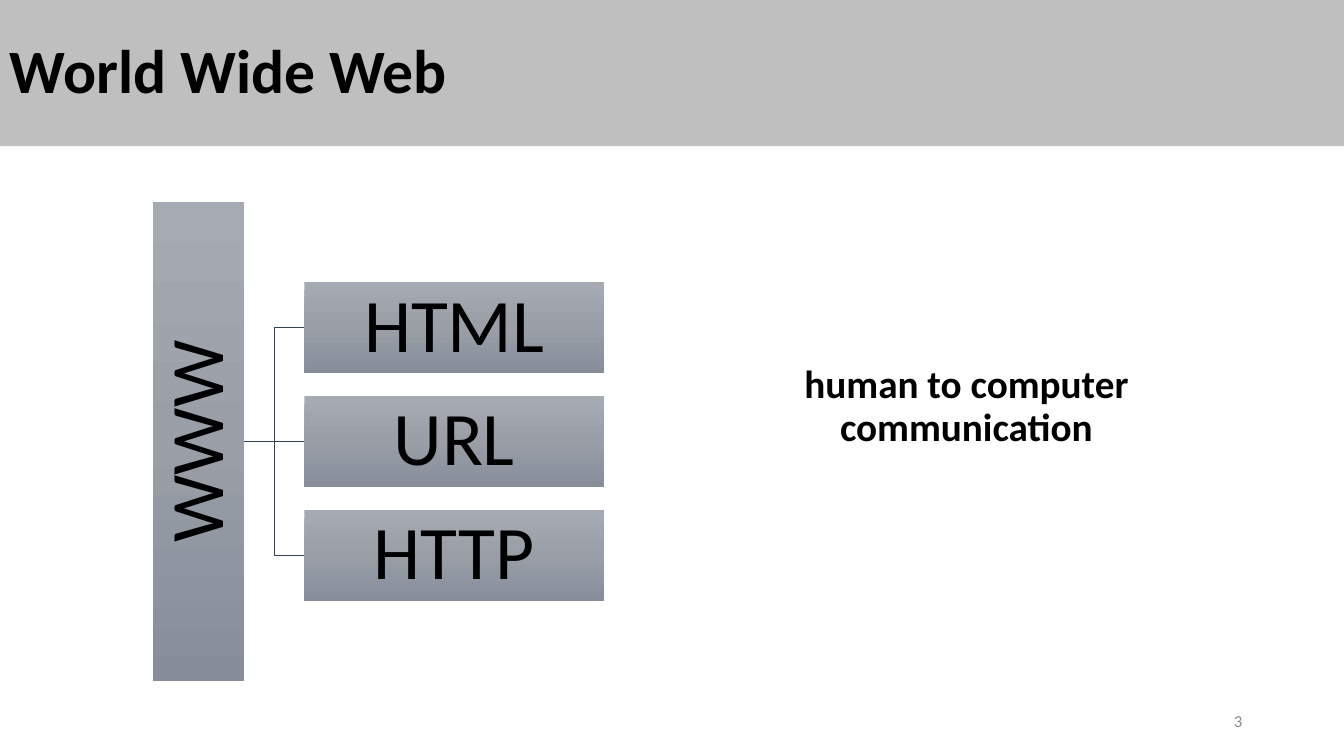
from copy import deepcopy
from dataclasses import dataclass

from lxml import etree
from pptx import Presentation
from pptx import util as u
from pptx.dml.color import RGBColor
from pptx.enum import shapes, text
from pptx.oxml import ns


@dataclass(frozen=True)
class Theme:
    font: str = "Calibri"
    ink: str = "000000"
    banner: str = "BFBFBF"
    muted: str = "8C8C8C"
    line: str = "364355"
    gradient: tuple = ((0, "A5AAB3"), (0.5, "999EA7"), (1, "878E9A"))
    title_size: int = 44
    node_size: int = 54
    body_size: int = 28
    number_size: int = 12


class SlideBuilder:
    def __init__(self, page, theme):
        self.page = page
        self.theme = theme

    def label(self, shape, words, size, color, align, bold=False, spacing=0.9):
        frame = shape.text_frame
        frame.text = words
        frame.word_wrap = True
        frame.vertical_anchor = text.MSO_ANCHOR.MIDDLE
        para = frame.paragraphs[0]
        para.alignment = align
        para.line_spacing = spacing
        span = para.runs[0]
        span.font.name = self.theme.font
        span.font.size = u.Pt(size)
        span.font.bold = bold
        span.font.color.rgb = RGBColor.from_string(color)

    def rectangle(self, left, top, width, height):
        shape = self.page.shapes.add_shape(
            shapes.MSO_SHAPE.RECTANGLE, *map(u.Inches, (left, top, width, height)))
        shape.shadow.inherit = False
        shape.line.fill.background()
        return shape

    def banner(self, words, height):
        shape = self.rectangle(0, 0, 13.33, height)
        shape.fill.solid()
        shape.fill.fore_color.rgb = RGBColor.from_string(self.theme.banner)
        self.label(shape, words, self.theme.title_size, self.theme.ink,
                   text.PP_ALIGN.LEFT, bold=True)

    def node(self, words, left, top, width, height, rotation=0):
        shape = self.rectangle(left, top, width, height)
        shape.rotation = rotation
        shape.fill.gradient()
        shape.fill.gradient_angle = 270
        gradient = shape.element.spPr.find(ns.qn("a:gradFill"))
        gradient.set("rotWithShape", "0")
        stop_list = gradient.find(ns.qn("a:gsLst"))
        stop_list.append(deepcopy(stop_list[-1]))
        for stop, (position, color) in zip(shape.fill.gradient_stops, self.theme.gradient):
            stop.position = position
            stop.color.rgb = RGBColor.from_string(color)
        frame = shape.text_frame
        frame.margin_left = frame.margin_right = u.Inches(0.04)
        frame.margin_top = frame.margin_bottom = u.Inches(0.04)
        self.label(shape, words, self.theme.node_size, self.theme.ink,
                   text.PP_ALIGN.CENTER)

    def link(self, start, end):
        kind = shapes.MSO_CONNECTOR
        route = kind.STRAIGHT if start[1] == end[1] else kind.ELBOW
        connector = self.page.shapes.add_connector(route, *map(u.Inches, start + end))
        connector.line.color.rgb = RGBColor.from_string(self.theme.line)
        connector.line.width = u.Pt(1)
        etree.SubElement(connector.element.spPr, ns.qn("a:effectLst"))

    def text_box(self, left, top, width, height):
        return self.page.shapes.add_textbox(*map(u.Inches, (left, top, width, height)))

    def body(self, words, left, top, width, height, inset):
        box = self.text_box(left, top, width, height)
        self.label(box, words, self.theme.body_size, self.theme.ink,
                   text.PP_ALIGN.CENTER, bold=True)
        box.text_frame.vertical_anchor = text.MSO_ANCHOR.TOP
        box.text_frame.margin_top = u.Inches(inset)

    def page_number(self, words, left, top, width, height):
        box = self.text_box(left, top, width, height)
        self.label(box, words, self.theme.number_size, self.theme.muted,
                   text.PP_ALIGN.RIGHT, spacing=1)


def main():
    deck = Presentation()
    deck.slide_width, deck.slide_height = u.Inches(13.33), u.Inches(7.5)
    builder = SlideBuilder(deck.slides.add_slide(deck.slide_layouts[6]), Theme())
    builder.banner("World Wide Web", 1.45)

    thickness, root_length, pitch = 0.9, 4.76, 1.13
    root_right, branch_left, middle = 2.42, 3.02, 4.38
    branches = [(name, middle + (index - 1) * pitch)
                for index, name in enumerate(("HTML", "URL", "HTTP"))]
    for name, center in branches:
        builder.link((root_right, middle), (branch_left, center))
    builder.node("WWW", root_right - (thickness + root_length) / 2,
                 middle - thickness / 2, root_length, thickness, rotation=270)
    for name, center in branches:
        builder.node(name, branch_left, center - thickness / 2, 2.97, thickness)

    builder.body("human to computer communication", 6.75, 2, 5.67, 4.76, inset=1.62)
    builder.page_number("3", 9.42, 6.95, 3, 0.4)
    deck.save("out.pptx")


if __name__ == "__main__":
    main()
